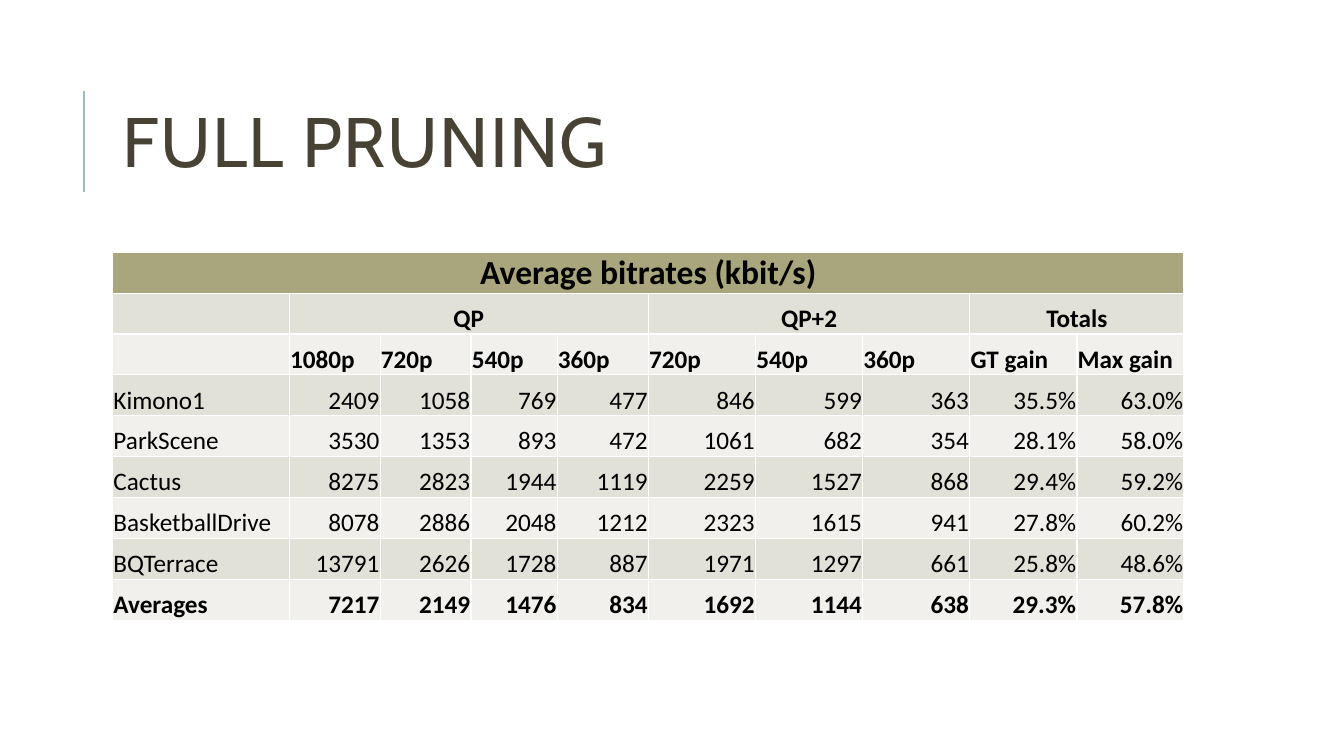
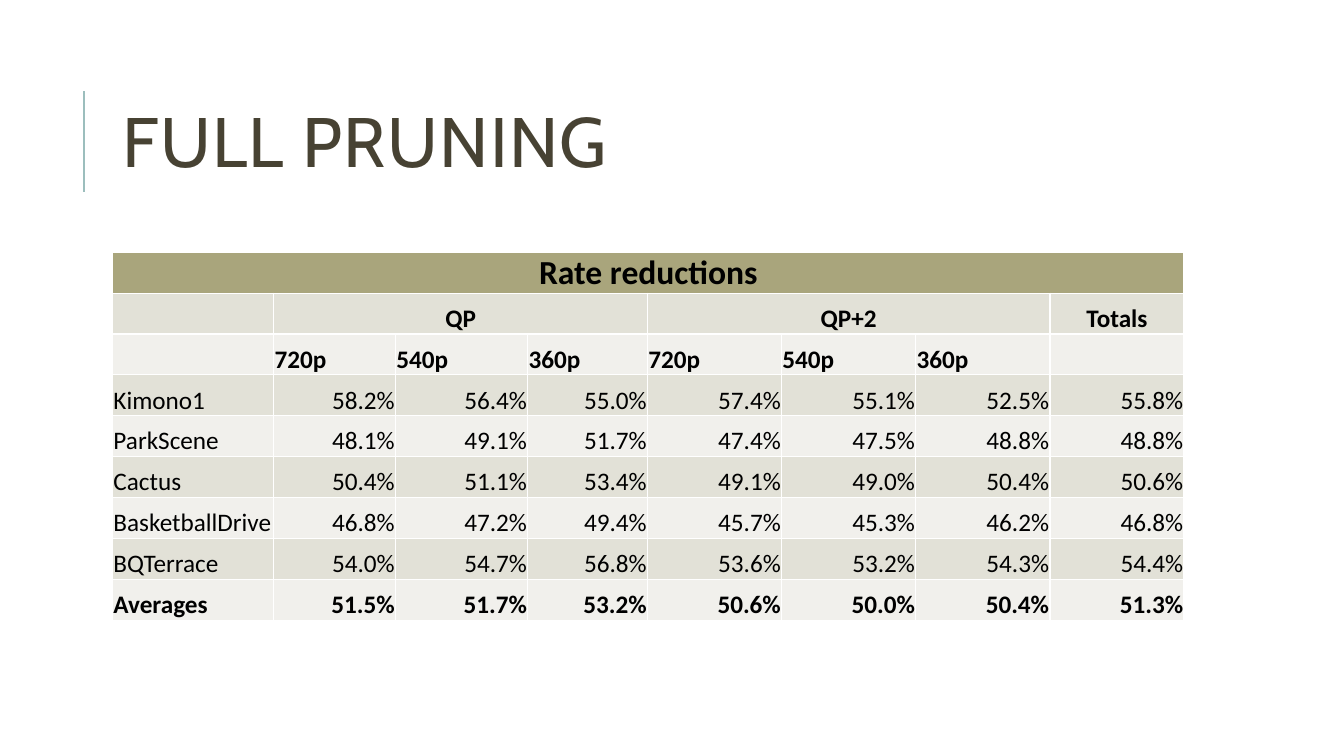
"""Build two slides of full pruning results, each with one table."""
import pptx
import pptx.dml.color
import pptx.enum.shapes
import pptx.enum.text
import pptx.oxml.ns
import pptx.util
from lxml import etree

Cm, Pt = pptx.util.Cm, pptx.util.Pt
Align = pptx.enum.text.PP_ALIGN
Anchor = pptx.enum.text.MSO_ANCHOR

RULE, INK, TEXT = "9CBEBD", "474233", "000000"
HEAD, DARK, LIGHT = "A9A57C", "E2E1D7", "F1F0EC"
LEFT, WIDTH, ROW = 2.84, 27, 1.03
NAMES = ["Kimono1", "ParkScene", "Cactus", "BasketballDrive", "BQTerrace", "Averages"]

SLIDES = [
    {
        "title": "Average bitrates (kbit/s)",
        "cols": [4.45, 2.29, 2.29, 2.17, 2.3] + [2.7] * 5,
        "groups": [("", 1), ("QP", 4), ("QP+2", 3), ("Totals", 2)],
        "heads": ["", "1080p", "720p", "540p", "360p", "720p", "540p", "360p",
                  "GT gain", "Max gain"],
        "data": [
            "2409 1058 769 477 846 599 363 35.5% 63.0%",
            "3530 1353 893 472 1061 682 354 28.1% 58.0%",
            "8275 2823 1944 1119 2259 1527 868 29.4% 59.2%",
            "8078 2886 2048 1212 2323 1615 941 27.8% 60.2%",
            "13791 2626 1728 887 1971 1297 661 25.8% 48.6%",
            "7217 2149 1476 834 1692 1144 638 29.3% 57.8%",
        ],
    },
    {
        "title": "Rate reductions",
        "cols": [4.06, 3.07, 3.33, 3.02] + [3.38] * 4,
        "groups": [("", 1), ("QP", 3), ("QP+2", 3), ("Totals", 1)],
        "heads": ["", "720p", "540p", "360p", "720p", "540p", "360p", ""],
        "data": [
            "58.2% 56.4% 55.0% 57.4% 55.1% 52.5% 55.8%",
            "48.1% 49.1% 51.7% 47.4% 47.5% 48.8% 48.8%",
            "50.4% 51.1% 53.4% 49.1% 49.0% 50.4% 50.6%",
            "46.8% 47.2% 49.4% 45.7% 45.3% 46.2% 46.8%",
            "54.0% 54.7% 56.8% 53.6% 53.2% 54.3% 54.4%",
            "51.5% 51.7% 53.2% 50.6% 50.0% 50.4% 51.3%",
        ],
    },
]


def paint(target, color):
    target.rgb = pptx.dml.color.RGBColor.from_string(color)


def style(par, font, size, color, bold, align):
    par.font.name, par.font.size, par.font.bold = font, Pt(size), bold
    paint(par.font.color, color)
    par.alignment = align


deck = pptx.Presentation()
deck.slide_width, deck.slide_height = Cm(33.87), Cm(19.05)

for part in SLIDES:
    slide = deck.slides.add_slide(deck.slide_layouts[6])

    rule = slide.shapes.add_connector(
        pptx.enum.shapes.MSO_CONNECTOR.STRAIGHT, Cm(2.12), Cm(4.83), Cm(2.12), Cm(2.3))
    paint(rule.line.color, RULE)
    rule.line.width = Pt(1.5)
    etree.SubElement(rule.element.spPr, pptx.oxml.ns.qn("a:effectLst"))

    box = slide.shapes.add_textbox(Cm(LEFT), Cm(1.63), Cm(WIDTH), Cm(4.17))
    box.text_frame.word_wrap = True
    box.text_frame.vertical_anchor = Anchor.MIDDLE
    par = box.text_frame.paragraphs[0]
    par.line_spacing = 0.8
    run = par.add_run()
    run.text = "FULL PRUNING"
    run.font.language_id = None
    run.font._element.set("spc", "100")
    style(par, "Cabin", 50, INK, False, Align.LEFT)

    groups = [word for name, span in part["groups"] for word in [name] + [""] * (span - 1)]
    rows = [[part["title"]] + [""] * (len(groups) - 1), groups, part["heads"]]
    rows += [[name] + line.split() for name, line in zip(NAMES, part["data"])]

    grid = slide.shapes.add_table(
        len(rows), len(groups), Cm(LEFT), Cm(6.35), Cm(WIDTH), Cm(ROW * len(rows))).table
    for col, width in zip(grid.columns, part["cols"]):
        col.width = Cm(width)

    for r, words in enumerate(rows):
        grid.rows[r].height = Cm(ROW)
        for c, word in enumerate(words):
            cell = grid.cell(r, c)
            cell.fill.solid()
            paint(cell.fill.fore_color, HEAD if r == 0 else DARK if r % 2 else LIGHT)
            cell.margin_left = cell.margin_right = cell.margin_top = Cm(0.02)
            cell.margin_bottom = 0
            cell.vertical_anchor = Anchor.BOTTOM
            cell.text = word
            align = Align.CENTER if r < 2 else Align.RIGHT if r > 2 and c else Align.LEFT
            bold = r < 3 or r == len(rows) - 1
            style(cell.text_frame.paragraphs[0], "Calibri", 18 if r else 24, TEXT, bold, align)

    grid.cell(0, 0).merge(grid.cell(0, len(groups) - 1))
    start = 0
    for name, span in part["groups"]:
        if span > 1:
            grid.cell(1, start).merge(grid.cell(1, start + span - 1))
        start += span

deck.save("out.pptx")
